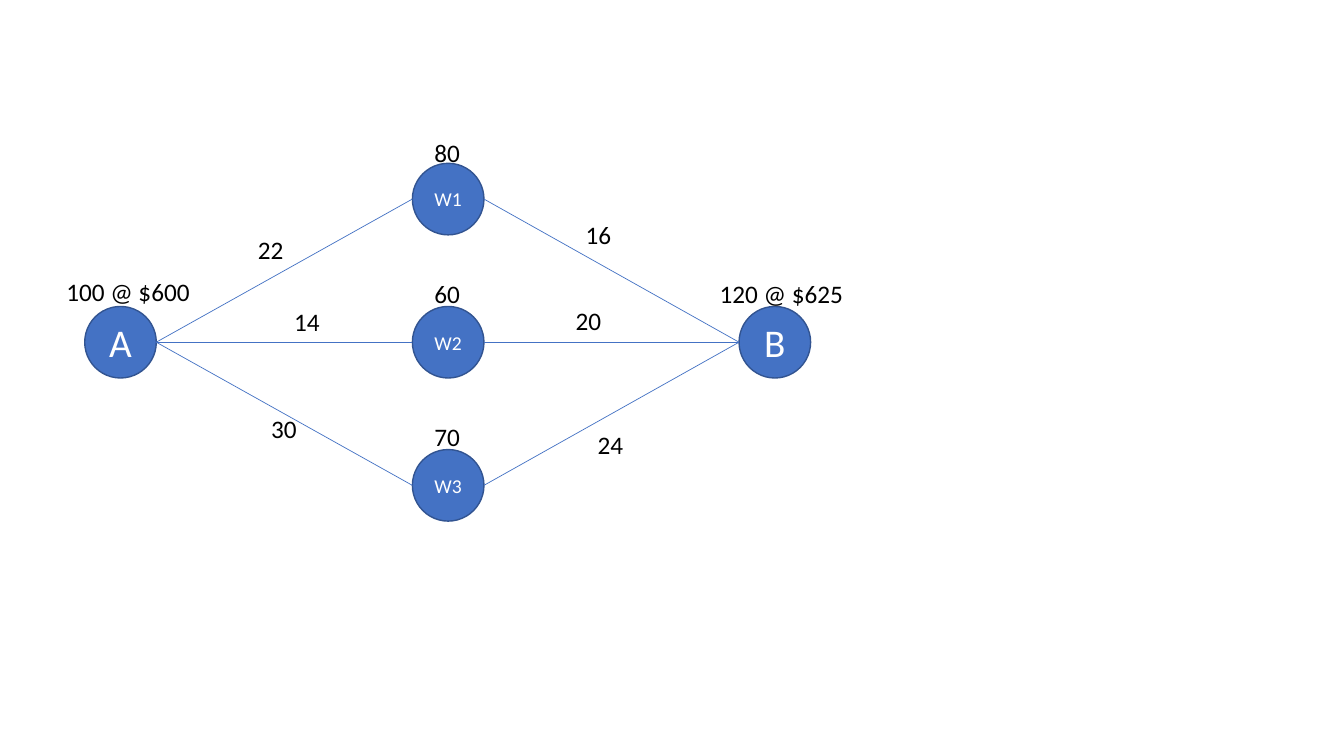
"""Build a slide with a network of two plants, three warehouses and edge costs."""
from lxml import etree
from pptx import Presentation
from pptx import util as u
from pptx.dml.color import RGBColor
from pptx.enum import shapes, text
from pptx.oxml.ns import qn


def color(value):
    return RGBColor.from_string(value)


def write(frame, words, size, value):
    paragraph = frame.paragraphs[0]
    paragraph.text = words
    paragraph.font.name = "Calibri"
    paragraph.font.size = u.Pt(size)
    paragraph.font.color.rgb = color(value)
    return paragraph


presentation = Presentation()
presentation.slide_width = u.Inches(13.33)
presentation.slide_height = u.Inches(7.5)
slide = presentation.slides.add_slide(presentation.slide_layouts[6])

diameter = 0.71
radius = diameter / 2
plant_a, warehouse_x, plant_b = 0.84, 4.09, 7.33
rows = [1.62, 3.04, 4.46]
middle = rows[1]

nodes = [("A", plant_a, middle, 28), ("B", plant_b, middle, 28)]
nodes += [(f"W{number}", warehouse_x, top, 14) for number, top in enumerate(rows, 1)]
for name, left, top, size in nodes:
    node = slide.shapes.add_shape(
        shapes.MSO_SHAPE.OVAL, u.Inches(left), u.Inches(top), u.Inches(diameter), u.Inches(diameter))
    node.shadow.inherit = False
    node.fill.solid()
    node.fill.fore_color.rgb = color("4472C4")
    node.line.color.rgb = color("325491")
    node.line.width = u.Pt(1)
    node.text_frame.vertical_anchor = text.MSO_ANCHOR.MIDDLE
    write(node.text_frame, name, size, "FFFFFF").alignment = text.PP_ALIGN.CENTER

for start, end in [(plant_a + diameter, warehouse_x), (plant_b, warehouse_x + diameter)]:
    for top in rows:
        edge = slide.shapes.add_connector(
            shapes.MSO_CONNECTOR.STRAIGHT, u.Inches(start), u.Inches(middle + radius),
            u.Inches(end), u.Inches(top + radius))
        edge.line.color.rgb = color("4472C4")
        edge.line.width = u.Pt(0.5)
        etree.SubElement(edge._element.spPr, qn("a:effectLst"))

labels = [
    ("22", 2.46, 2.28, 0.46), ("14", 2.82, 2.99, 0.46), ("30", 2.59, 4.05, 0.46),
    ("16", 5.71, 2.13, 0.46), ("20", 5.61, 2.98, 0.46), ("24", 5.83, 4.21, 0.46),
    ("80", 4.21, 1.31, 0.46), ("60", 4.21, 2.71, 0.46), ("70", 4.21, 4.13, 0.46),
    ("100 @ $600", 0.56, 2.69, 1.44), ("120 @ $625", 7.04, 2.71, 1.44),
]
for words, left, top, width in labels:
    label = slide.shapes.add_textbox(u.Inches(left), u.Inches(top), u.Inches(width), u.Inches(0.4))
    label.text_frame.word_wrap = False
    label.text_frame.auto_size = text.MSO_AUTO_SIZE.SHAPE_TO_FIT_TEXT
    write(label.text_frame, words, 18, "000000")

presentation.save("out.pptx")
